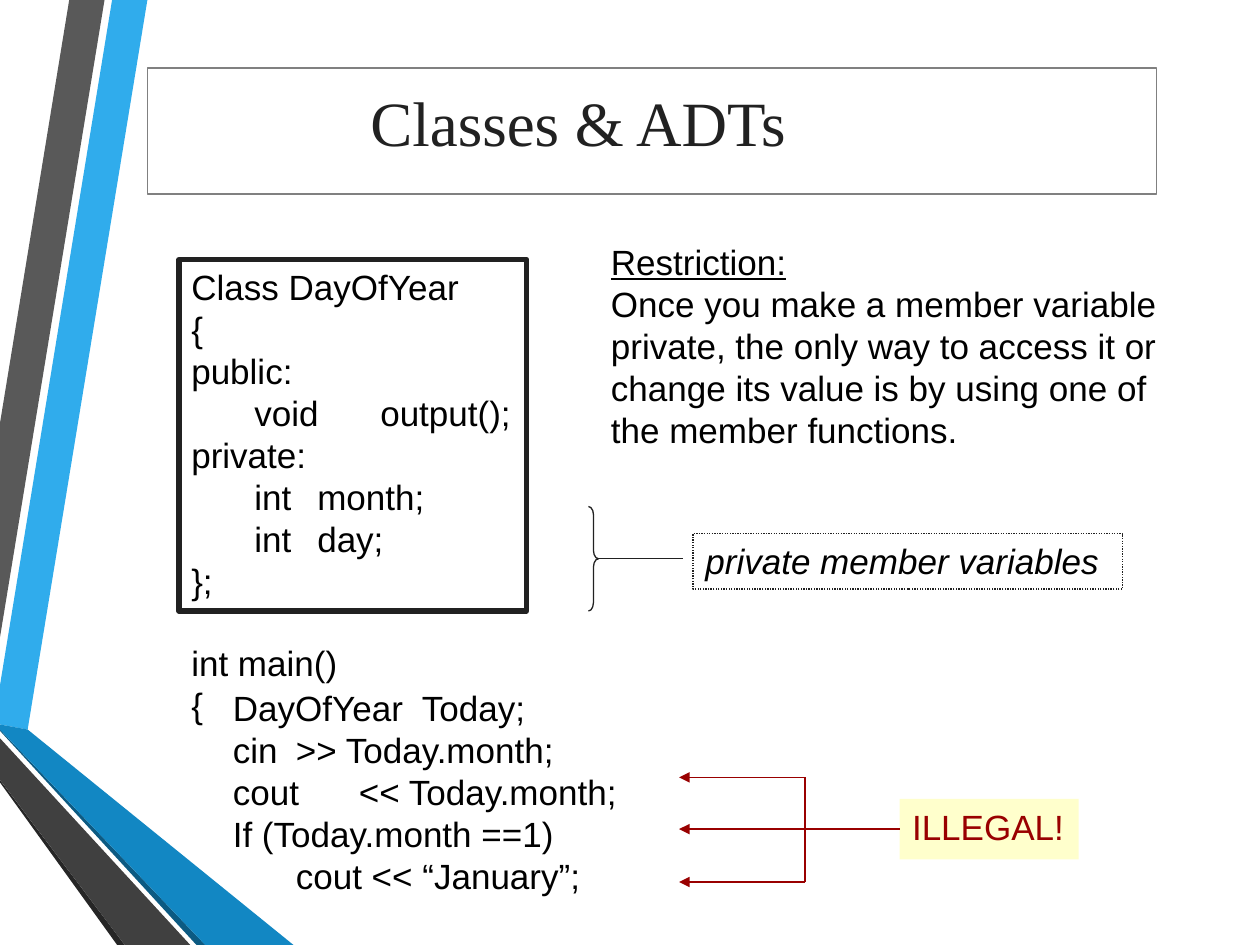
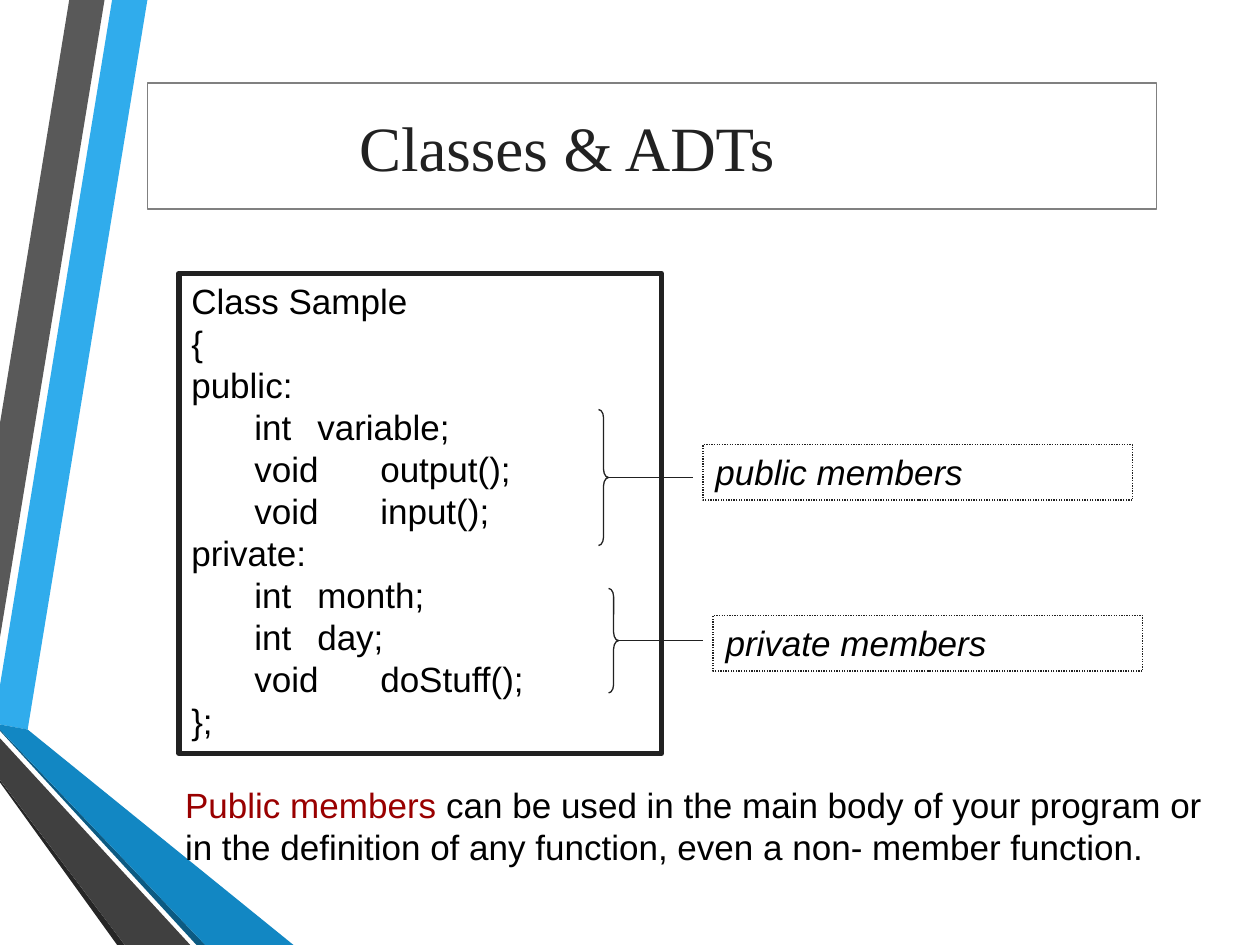
from pptx import Presentation
from pptx import util as u
from pptx.dml import color as dml_color
from pptx.enum import dml, shapes, text
from pptx.oxml import ns, parse_xml

INK, BLACK, RED, WHITE, GREY = "212121", "000000", "990000", "FFFFFF", "808080"
BANDS = [
    ("30ACEC", [(0, 5.44), (0, 5.75), (0.22, 5.79), (1.17, 0), (0.89, 0)]),
    ("595959", [(0.83, 0), (0.55, 0), (0, 3.36), (0, 5.06)]),
    ("262626", [(0, 6.19), (0, 6.21), (0.93, 7.5), (0.99, 7.5)]),
    ("0C5A82", [(0, 5.79), (0, 5.8), (1.56, 7.5), (1.63, 7.5)]),
    ("1287C3", [(0, 5.79), (1.63, 7.5), (2.33, 7.5), (0.22, 5.79), (0, 5.75)]),
    ("404040", [(0, 6.19), (0.99, 7.5), (1.51, 7.5), (0, 5.86)]),
]
BODY = {"name": "Arial", "size": u.Pt(20), "color": BLACK}
HEADING = {"name": "Times New Roman", "size": u.Pt(36), "color": INK}
TAB_STOPS = [0.5, 1, 1.5, 2]
TITLE_SHADOW = (
    f'<a:effectLst {ns.nsdecls("a")}><a:outerShdw blurRad="38100" dist="38100" dir="2700000">'
    '<a:srgbClr val="C0C0C0"/></a:outerShdw></a:effectLst>'
)


def rgb(value):
    """Turn a hex string into a colour."""
    return dml_color.RGBColor.from_string(value)


def inches(*lengths):
    """Turn numbers into lengths."""
    return [u.Inches(length) for length in lengths]


class Deck:
    """Holds the shared style and the current slide."""

    def __init__(self):
        """Start an empty 10 by 7.5 inch presentation."""
        self.presentation = Presentation()
        self.presentation.slide_width, self.presentation.slide_height = inches(10, 7.5)
        self.slide = None

    def new_slide(self, title, frame_top, title_box):
        """Add a slide with side bands, a title frame and a title."""
        self.slide = self.presentation.slides.add_slide(self.presentation.slide_layouts[5])
        for colour, points in BANDS:
            self.band(colour, points)
        self.box(1.17, frame_top, 8.01, 1, fill=WHITE, line=GREY)
        placeholder = self.slide.shapes.title
        self.slide.shapes._spTree.append(placeholder._element)
        for name, value in zip(("left", "top", "width", "height"), inches(*title_box)):
            setattr(placeholder, name, value)
        self.fill_text(placeholder, [title], HEADING, anchor=text.MSO_ANCHOR.BOTTOM)
        properties = placeholder.text_frame.paragraphs[0].runs[0]._r.rPr
        properties.find(ns.qn("a:solidFill")).addnext(parse_xml(TITLE_SHADOW))

    def band(self, colour, points):
        """Draw one filled polygon."""
        corners = [inches(*point) for point in points]
        builder = self.slide.shapes.build_freeform(*corners[0])
        builder.add_line_segments(corners[1:], close=True)
        self.paint(builder.convert_to_shape(), fill=colour)

    def paint(self, shape, fill=None, line=None, weight=0.75, dash=None):
        """Set fill and outline and drop the shadow."""
        shape.shadow.inherit = False
        for part, colour in ((shape.fill, fill), (shape.line.fill, line)):
            if colour:
                part.solid()
                part.fore_color.rgb = rgb(colour)
            else:
                part.background()
        if line:
            shape.line.width = u.Pt(weight)
            shape.line.dash_style = dash

    def fill_text(self, shape, lines, style=BODY, anchor=text.MSO_ANCHOR.TOP, wrap=True):
        """Fill a shape with lines, each a string or a list of (words, format)."""
        frame = shape.text_frame
        settings = {"word_wrap": wrap, "vertical_anchor": anchor,
                    "auto_size": text.MSO_AUTO_SIZE.NONE}
        for name, value in settings.items():
            setattr(frame, name, value)
        for index, line in enumerate(lines):
            paragraph = frame.add_paragraph() if index else frame.paragraphs[0]
            paragraph.alignment = text.PP_ALIGN.LEFT
            if "\t" in line:
                self.set_tabs(paragraph)
            for words, changes in [(line, {})] if isinstance(line, str) else line:
                run = paragraph.add_run()
                run.text = words
                for name, value in {**style, **changes}.items():
                    if name == "color":
                        run.font.color.rgb = rgb(value)
                    else:
                        setattr(run.font, name, value)

    def set_tabs(self, paragraph):
        """Give a paragraph evenly spaced tab stops."""
        stops = "".join(f'<a:tab pos="{u.Inches(stop)}" algn="l"/>' for stop in TAB_STOPS)
        paragraph._p.get_or_add_pPr().append(
            parse_xml(f'<a:tabLst {ns.nsdecls("a")}>{stops}</a:tabLst>'))

    def box(self, left, top, width, height, lines=(), style=BODY, wrap=True, **look):
        """Draw a rectangle, with text if given."""
        shape = self.slide.shapes.add_shape(
            shapes.MSO_SHAPE.RECTANGLE, *inches(left, top, width, height))
        self.paint(shape, **look)
        if lines:
            self.fill_text(shape, lines, style, wrap=wrap)
        return shape

    def code_box(self, left, top, width, height, lines):
        """Draw a heavily framed box of code."""
        self.box(left, top, width, height, lines, fill=WHITE, line=INK, weight=3)

    def text_box(self, left, top, width, height, lines):
        """Add a plain text box."""
        self.fill_text(self.slide.shapes.add_textbox(*inches(left, top, width, height)), lines)

    def line(self, start, end, colour, arrow=False):
        """Draw a straight line, with an arrowhead at its end if asked."""
        connector = self.slide.shapes.add_connector(
            shapes.MSO_CONNECTOR.STRAIGHT, *inches(*start, *end))
        connector.line.color.rgb = rgb(colour)
        connector.line.width = u.Pt(0.75)
        properties = connector._element.spPr
        if arrow:
            properties.find(ns.qn("a:ln")).append(
                parse_xml(f'<a:tailEnd {ns.nsdecls("a")} type="triangle"/>'))
        properties.append(parse_xml(f'<a:effectLst {ns.nsdecls("a")}/>'))
        return connector

    def brace_note(self, left, top, height, words, lift=0.2):
        """Draw a brace with a line leading to a dotted label."""
        brace = self.slide.shapes.add_shape(
            shapes.MSO_SHAPE.RIGHT_BRACE, *inches(left, top, 0.08, height))
        brace.adjustments[0] = 0.83
        self.paint(brace, line=INK)
        middle = top + height / 2
        self.line((left + 0.08, middle), (left + 0.75, middle), INK)
        self.box(left + 0.83, middle - lift, 3.41, 0.44, [words], {**BODY, "italic": True},
                 line=INK, dash=dml.MSO_LINE.ROUND_DOT)


def add_restriction_slide(deck):
    """Show that private members cannot be reached from main."""
    deck.new_slide("Classes & ADTs", 0.54, (2.84, 0.1, 4.67, 1.21))
    deck.code_box(1.42, 2.06, 2.76, 2.79, [
        "Class DayOfYear", "{", "public:", "\tvoid \toutput();",
        "private:", "\tint \tmonth;", "\tint\tday;", "};"])
    deck.brace_note(4.67, 4.02, 0.83, "private member variables")
    deck.text_box(1.75, 5.4, 3.27, 1.78, [
        "DayOfYear  Today;", "cin\t>> Today.month;", "cout\t<< Today.month;",
        "If (Today.month ==1)", "\tcout << “January”;"])
    illegal = deck.box(7.14, 6.34, 1.42, 0.48, ["ILLEGAL!"], {**BODY, "color": RED},
                       wrap=False, fill="FFFFCC")
    upper, middle, lower = 6.17, 6.58, 7
    for start, height in ((6.39, upper), (7.14, middle), (6.39, lower)):
        arrow = deck.line((start, height), (5.39, height), RED, arrow=True)
        if height == middle:
            arrow.begin_connect(illegal, 1)
    deck.line((6.39, lower), (6.39, upper), RED)
    deck.text_box(4.75, 1.86, 4.91, 1.83, [
        [("Restriction:", {"underline": True})],
        "Once you make a member variable private, the only way to access it or "
        "change its value is by using one of the member functions."])
    deck.text_box(1.42, 5.04, 1.37, 0.77, ["int main()", "{"])


def add_members_slide(deck):
    """Contrast public and private members of a class."""
    deck.new_slide("Classes & ADTs", 0.66, (2.75, 0.3, 5.92, 1.21))
    deck.code_box(1.42, 2.17, 3.83, 3.81, [
        "Class Sample", "{", "public:", "\tint \tvariable;", "\tvoid \toutput();",
        "\tvoid\tinput();", "private:", "\tint \tmonth;", "\tint\tday;",
        "\tvoid\tdoStuff();", "};"])
    deck.brace_note(4.83, 4.67, 0.83, "private members")
    deck.brace_note(4.75, 3.25, 1.08, "public members", lift=0.26)
    deck.text_box(1.37, 6.17, 8.38, 0.77, [[
        ("Public members", {"color": RED}),
        (" can be used in the main body of your program or in the definition of "
         "any function, even a non- member function.", {})]])


def main():
    """Build and save both slides."""
    deck = Deck()
    add_restriction_slide(deck)
    add_members_slide(deck)
    deck.presentation.save("out.pptx")


if __name__ == "__main__":
    main()
